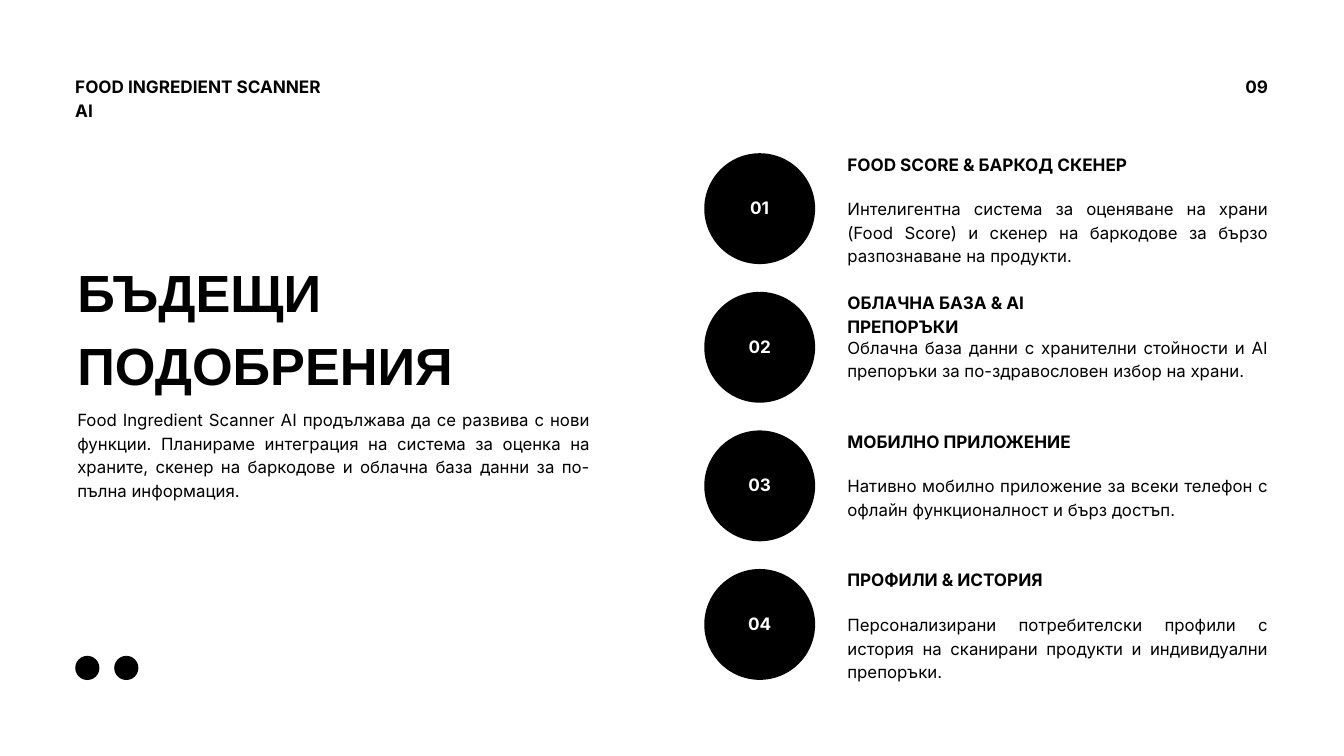
from pptx import Presentation
from pptx.dml.color import RGBColor
from pptx.enum import shapes, text
from pptx.util import Inches, Pt

COLOURS = {"ink": "000000", "paper": "FFFFFF"}
LABEL = {"name": "Inter", "size": Pt(18.4), "bold": True}
BODY = {"name": "Inter", "size": Pt(18), "bold": False}
TITLE = {"name": "Arial", "size": Pt(56), "bold": True}
LABEL_LINE, BODY_LINE, TITLE_LINE = Pt(25.8), Pt(25.2), Pt(78.3)
ALIGN = text.PP_ALIGN

IMPROVEMENTS = [
    ("FOOD SCORE & БАРКОД СКЕНЕР",
     "Интелигентна система за оценяване на храни (Food Score) и скенер на "
     "баркодове за бързо разпознаване на продукти."),
    ("ОБЛАЧНА БАЗА & AI ПРЕПОРЪКИ",
     "Облачна база данни с хранителни стойности и AI препоръки за "
     "по-здравословен избор на храни."),
    ("МОБИЛНО ПРИЛОЖЕНИЕ",
     "Нативно мобилно приложение за всеки телефон с офлайн функционалност "
     "и бърз достъп."),
    ("ПРОФИЛИ & ИСТОРИЯ",
     "Персонализирани потребителски профили с история на сканирани продукти "
     "и индивидуални препоръки."),
]
INTRO = ("Food Ingredient Scanner AI продължава да се развива с нови функции. "
         "Планираме интеграция на система за оценка на храните, скенер на "
         "баркодове и облачна база данни за по-пълна информация.")


def write(shape, words, font_format, line, align=ALIGN.LEFT, colour="ink",
          anchor=text.MSO_ANCHOR.TOP):
    frame = shape.text_frame
    frame_format = {"word_wrap": True, "auto_size": text.MSO_AUTO_SIZE.NONE,
                    "vertical_anchor": anchor, "margin_left": 0,
                    "margin_top": 0, "margin_right": 0, "margin_bottom": 0}
    for name, value in frame_format.items():
        setattr(frame, name, value)
    paragraph = frame.paragraphs[0]
    paragraph.alignment = align
    paragraph.line_spacing = line
    paragraph.space_before = Pt(0)
    run = paragraph.add_run()
    run.text = words
    for name, value in font_format.items():
        setattr(run.font, name, value)
    run.font.color.rgb = RGBColor.from_string(COLOURS[colour])


def add_text(slide, left, top, width, height, *content, **options):
    """Add a text box; the content and options go on to write()."""
    box = slide.shapes.add_textbox(left, top, width, height)
    write(box, *content, **options)


def add_disc(slide, left, top, diameter):
    disc = slide.shapes.add_shape(shapes.MSO_SHAPE.OVAL, left, top,
                                  diameter, diameter)
    disc.shadow.inherit = False
    disc.fill.solid()
    disc.fill.fore_color.rgb = RGBColor.from_string(COLOURS["ink"])
    disc.line.fill.background()
    return disc


def add_header(slide, left, top, width):
    add_text(slide, left, top, Inches(3.84), Inches(0.7),
             "FOOD INGREDIENT SCANNER AI", LABEL, LABEL_LINE)
    number_width = Inches(1.52)
    add_text(slide, left + width - number_width, top, number_width,
             Inches(0.34), "09", LABEL, LABEL_LINE, align=ALIGN.RIGHT)


def add_introduction(slide, left, top):
    title = slide.shapes.title
    place = {"left": left, "top": top,
             "width": Inches(7.3), "height": Inches(2.13)}
    for name, value in place.items():
        setattr(title, name, value)
    write(title, "БЪДЕЩИ ПОДОБРЕНИЯ", TITLE, TITLE_LINE)
    add_text(slide, left, top + Inches(2.33), Inches(7.63), Inches(1.37),
             INTRO, BODY, BODY_LINE, align=ALIGN.JUSTIFY)


def add_improvement(slide, left, top, width, number, heading, description):
    disc = add_disc(slide, left, top + Inches(0.04), Inches(1.65))
    write(disc, f"{number:02}", LABEL, LABEL_LINE, align=ALIGN.CENTER,
          colour="paper", anchor=text.MSO_ANCHOR.MIDDLE)
    disc.text_frame.margin_bottom = Inches(0.08)
    indent = Inches(2.13)
    add_text(slide, left + indent, top, Inches(4.34), Inches(0.34),
             heading, LABEL, LABEL_LINE)
    add_text(slide, left + indent, top + Inches(0.67), width - indent,
             Inches(1.02), description, BODY, BODY_LINE, align=ALIGN.JUSTIFY)


def add_improvements(slide, left, top, width, height):
    pitch = height // len(IMPROVEMENTS)
    for index, (heading, description) in enumerate(IMPROVEMENTS):
        add_improvement(slide, left, top + index * pitch, width,
                        index + 1, heading, description)


def add_dots(slide, left, top):
    for index in range(2):
        add_disc(slide, left + index * Inches(0.58), top, Inches(0.36))


def main():
    presentation = Presentation()
    presentation.slide_width = Inches(20)
    presentation.slide_height = Inches(11.25)
    slide = presentation.slides.add_slide(presentation.slide_layouts[5])
    slide.background.fill.solid()
    slide.background.fill.fore_color.rgb = RGBColor.from_string(
        COLOURS["paper"])
    add_header(slide, Inches(1.12), Inches(1.08), Inches(17.75))
    add_introduction(slide, Inches(1.15), Inches(3.72))
    add_improvements(slide, Inches(10.48), Inches(2.24),
                     Inches(8.39), Inches(8.25))
    add_dots(slide, Inches(1.12), Inches(9.76))
    presentation.save("out.pptx")


if __name__ == "__main__":
    main()
